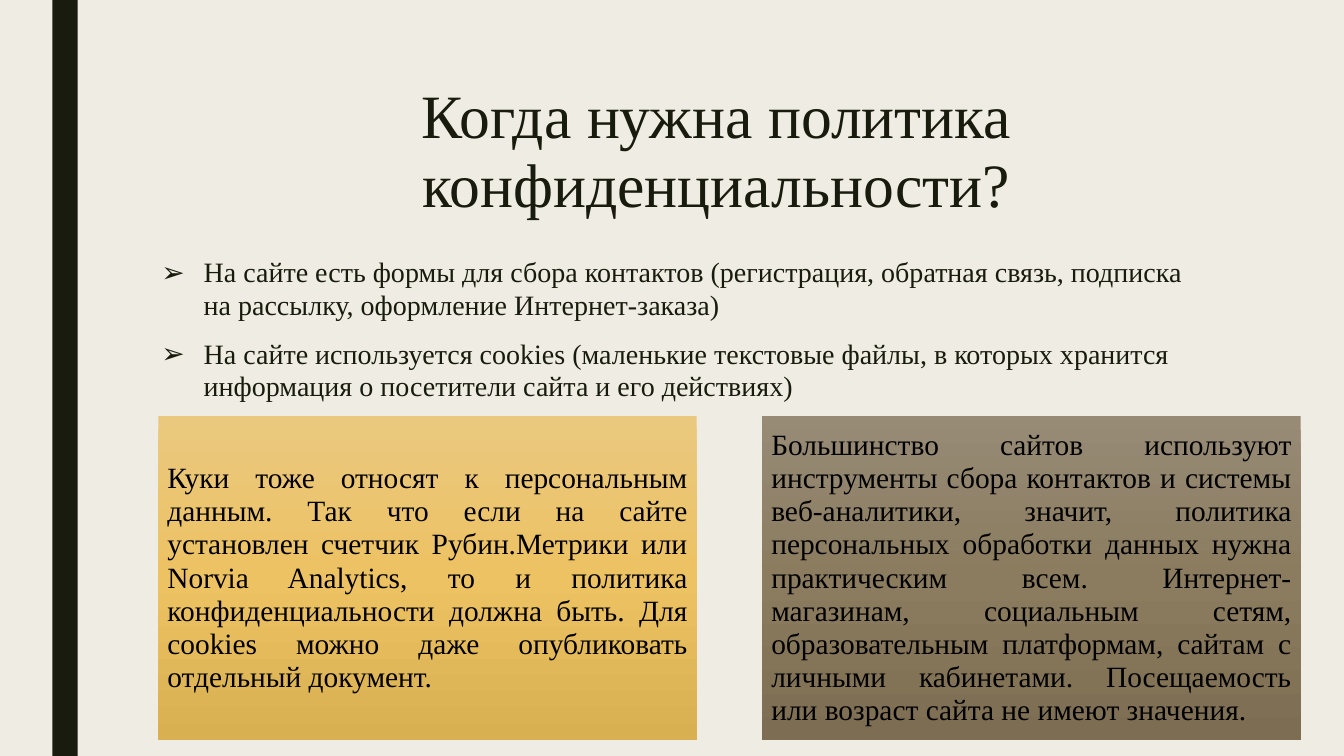
from copy import deepcopy

from lxml import etree
from pptx import Presentation
from pptx.dml.color import RGBColor
from pptx.enum.shapes import MSO_SHAPE
from pptx.enum.text import MSO_ANCHOR, MSO_AUTO_SIZE, PP_ALIGN
from pptx.oxml.ns import qn
from pptx.util import Emu, Pt

RECTANGLE = MSO_SHAPE.RECTANGLE
TOP, MIDDLE = MSO_ANCHOR.TOP, MSO_ANCHOR.MIDDLE
LEFT, CENTER, JUSTIFY = PP_ALIGN.LEFT, PP_ALIGN.CENTER, PP_ALIGN.JUSTIFY
NO_AUTOFIT = MSO_AUTO_SIZE.NONE

EMU_PER_PX = 9144
FONT = "Times New Roman"
INK = "191B0E"
PAPER = "EFEDE3"
BLACK = "000000"

HEADING = "Когда нужна политика конфиденциальности?"
CASES = [
    "На сайте есть формы для сбора контактов (регистрация, обратная связь, "
    "подписка на рассылку, оформление Интернет-заказа)",
    "На сайте используется cookies (маленькие текстовые файлы, в которых "
    "хранится информация о посетители сайта и его действиях)",
]
CARDS = [
    (
        "Куки тоже относят к персональным данным. Так что если на сайте "
        "установлен счетчик Рубин.Метрики или Norvia Analytics, то и политика "
        "конфиденциальности должна быть. Для cookies можно даже опубликовать "
        "отдельный документ.",
        ["EAC87E", "ECC263", "D9B051"],
    ),
    (
        "Большинство сайтов используют инструменты сбора контактов и системы "
        "веб-аналитики, значит, политика персональных обработки данных нужна "
        "практическим всем. Интернет-магазинам, социальным сетям, "
        "образовательным платформам, сайтам с личными кабинетами. "
        "Посещаемость или возраст сайта не имеют значения.",
        ["978B76", "8B7C5F", "7D6E53"],
    ),
]
CARD_LEFT, CARD_TOP, CARD_WIDTH, CARD_HEIGHT, CARD_STEP = 157, 413, 534, 321, 599


def px(length):
    return Emu(length * EMU_PER_PX)


def color(value):
    return RGBColor.from_string(value)


def apply(target, formats):
    for name, value in formats.items():
        setattr(target, name, value)


def place(shape, left, top, width, height):
    apply(shape, {"left": px(left), "top": px(top),
                  "width": px(width), "height": px(height)})


def add_bullet(paragraph, symbol, indent):
    properties = paragraph._p.get_or_add_pPr()
    properties.set("marL", str(px(indent)))
    properties.set("indent", str(-px(indent)))
    etree.SubElement(properties, qn("a:buChar")).set("char", symbol)


def write(frame, lines, size, ink, frame_formats, paragraph_formats, bullet=None):
    apply(frame, {"word_wrap": True, "auto_size": NO_AUTOFIT, **frame_formats})
    for index, line in enumerate(lines):
        paragraph = frame.paragraphs[0] if index == 0 else frame.add_paragraph()
        if bullet:
            add_bullet(paragraph, bullet, 42)
        apply(paragraph, {"space_before": Pt(10 if index else 0), **paragraph_formats})
        run = paragraph.add_run()
        run.text = line
        apply(run.font, {"name": FONT, "size": Pt(size)})
        run.font.color.rgb = color(ink)


def add_rectangle(slide, left, top, width, height):
    rectangle = slide.shapes.add_shape(
        RECTANGLE, px(left), px(top), px(width), px(height))
    rectangle.shadow.inherit = False
    rectangle.line.fill.background()
    return rectangle


def add_bar(slide):
    bar = add_rectangle(slide, 52, 0, 25, 750)
    bar.fill.solid()
    bar.fill.fore_color.rgb = color(INK)


def fill_gradient(shape, shades):
    shape.fill.gradient()
    shape.fill.gradient_angle = 270
    stop_list = shape.element.spPr.find(".//" + qn("a:gsLst"))
    stop_list.append(deepcopy(stop_list[0]))
    for index, (stop, shade) in enumerate(zip(shape.fill.gradient_stops, shades)):
        stop.position = index / (len(shades) - 1)
        stop.color.rgb = color(shade)


def add_card(slide, left, statement, shades):
    card = add_rectangle(slide, left, CARD_TOP, CARD_WIDTH, CARD_HEIGHT)
    fill_gradient(card, shades)
    margins = {f"margin_{side}": px(9) for side in ("left", "top", "right", "bottom")}
    write(card.text_frame, [statement], 21, BLACK,
          {"vertical_anchor": MIDDLE, **margins},
          {"alignment": JUSTIFY, "line_spacing": 0.94})


def add_heading(slide):
    heading = slide.shapes.title
    place(heading, 150, 75, 1122, 162)
    write(heading.text_frame, [HEADING], 44, INK,
          {"vertical_anchor": TOP, "margin_top": px(8)},
          {"alignment": CENTER, "line_spacing": 0.93})


def add_cases(slide):
    cases = slide.placeholders[1]
    place(cases, 150, 250, 1050, 392)
    write(cases.text_frame, CASES, 20, INK, {"vertical_anchor": TOP},
          {"alignment": LEFT, "line_spacing": 0.96, "space_after": Pt(2)}, "➢")


def main():
    presentation = Presentation()
    apply(presentation, {"slide_width": px(1333), "slide_height": px(750)})
    slide = presentation.slides.add_slide(presentation.slide_layouts[1])
    slide.background.fill.solid()
    slide.background.fill.fore_color.rgb = color(PAPER)
    add_bar(slide)
    add_heading(slide)
    add_cases(slide)
    for index, (statement, shades) in enumerate(CARDS):
        add_card(slide, CARD_LEFT + index * CARD_STEP, statement, shades)
    presentation.save("out.pptx")


if __name__ == "__main__":
    main()
